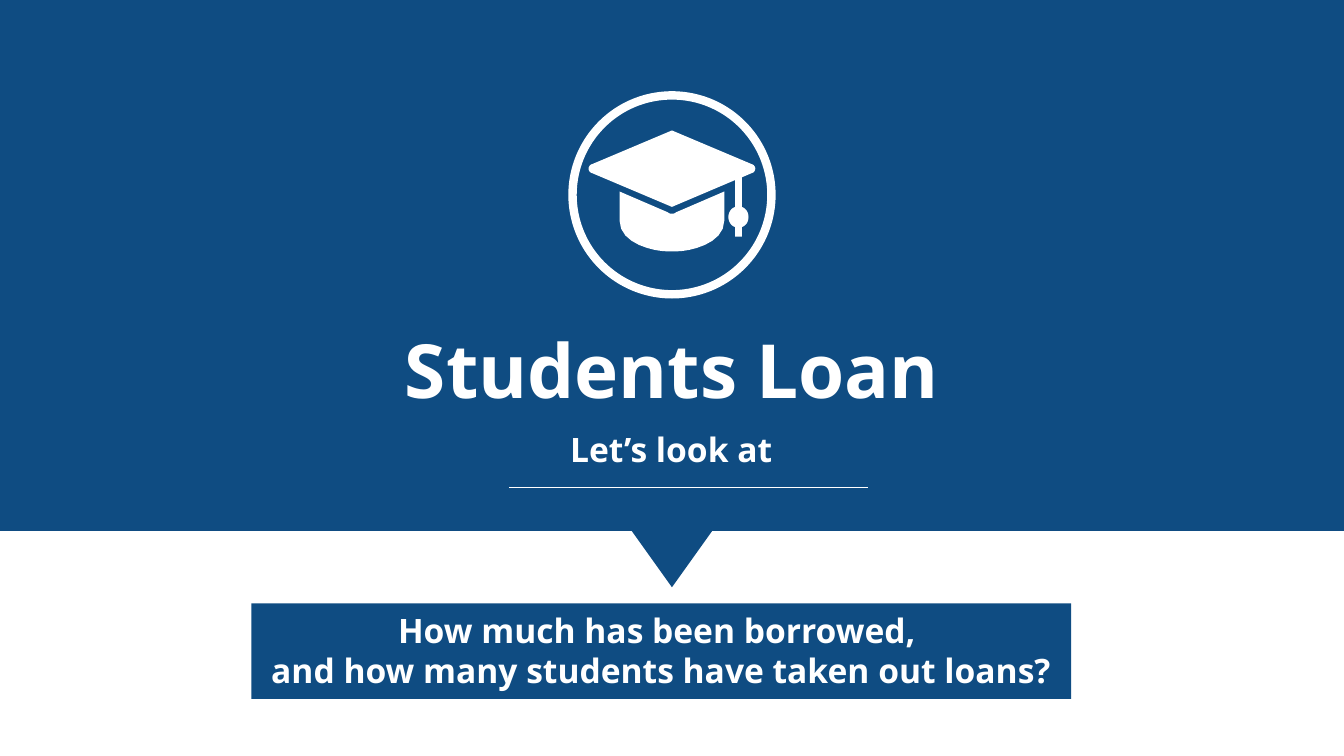
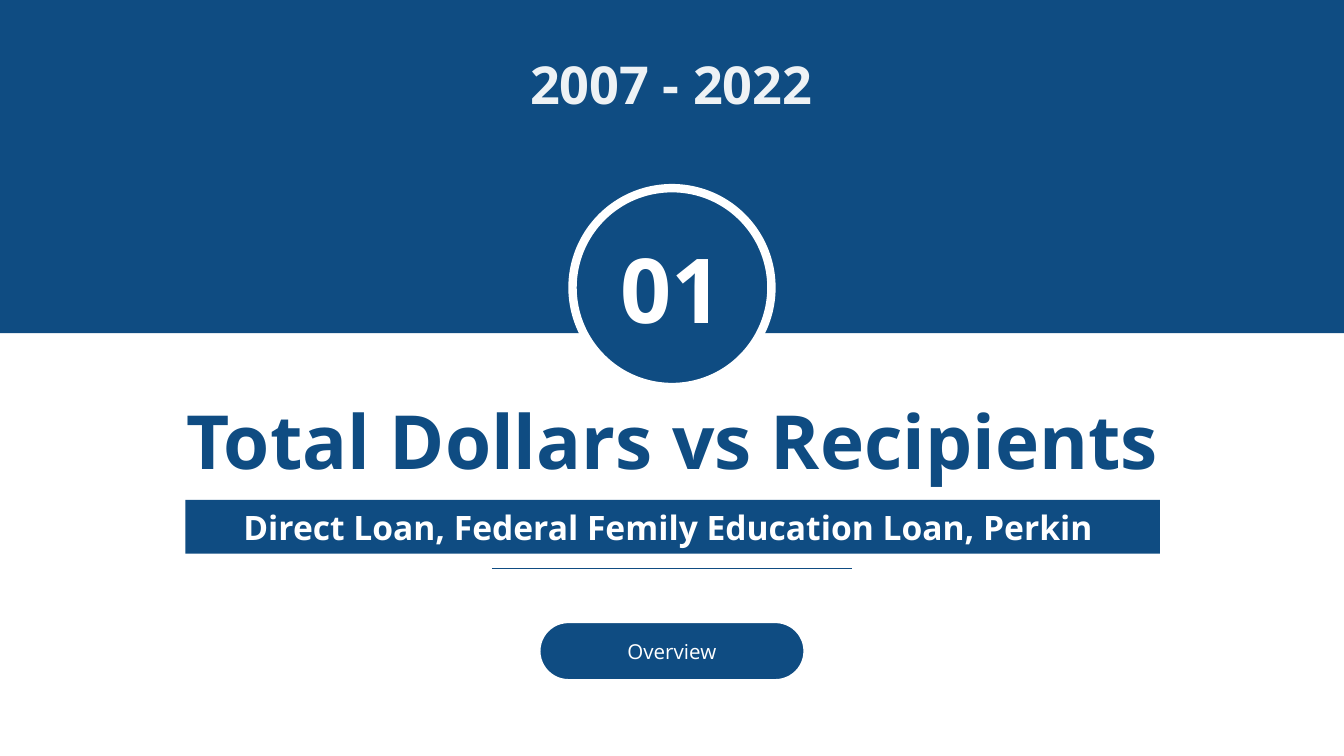
from dataclasses import dataclass
from typing import Optional

from lxml.etree import SubElement
from pptx import Presentation
from pptx.dml.color import RGBColor
from pptx.enum.shapes import MSO_CONNECTOR, MSO_SHAPE
from pptx.enum.text import MSO_ANCHOR, MSO_AUTO_SIZE, PP_ALIGN
from pptx.oxml.ns import qn
from pptx.util import Inches, Pt


@dataclass(frozen=True)
class Theme:
    """Colours, font, type sizes and line widths of the deck."""
    blue: str = "0F4C82"
    white: str = "FFFFFF"
    pale: str = "EEF2F5"
    font: str = "Open Sans"
    number: int = 48
    title: int = 40
    period: int = 28
    subtitle: int = 18
    button: int = 11
    ring: float = 4.5
    border: float = 1
    rule: float = 0.5


@dataclass(frozen=True)
class Box:
    """A place on the grid: left column, top row, columns, rows."""
    x: float
    y: float
    w: float
    h: float


@dataclass(frozen=True)
class Label:
    """Centred text and its format."""
    lines: tuple[str, ...]
    size: int
    color: str = "FFFFFF"
    bold: bool = True
    wrap: bool = False
    grow: bool = True


@dataclass(frozen=True)
class Panel:
    """A preset shape with optional fill, line and label."""
    box: Box
    kind: MSO_SHAPE = MSO_SHAPE.RECTANGLE
    fill: Optional[str] = None
    line: Optional[str] = None
    width: float = 1
    label: Optional[Label] = None


T = Theme()
COLUMNS = 100
WIDTH, HEIGHT = Inches(10), Inches(5.625)
CELL = WIDTH / COLUMNS
CENTRE = COLUMNS / 2
RING = 14.8
STEPS = 8

BAND = [(0, 0), (100, 0), (100, 39.5), (53, 39.5), (50, 43.7), (47, 39.5), (0, 39.5)]
CAP_TOP = [
    (55.9, 12.2), (50.1, 9.75), (50.05, 9.7, 49.95, 9.7, 49.9, 9.75), (44.1, 12.2),
    (43.9, 12.25, 43.8, 12.4, 43.8, 12.55), (43.8, 12.7, 43.9, 12.85, 44.1, 12.9),
    (49.9, 15.35), (49.95, 15.4, 50.05, 15.4, 50.1, 15.35), (54.7, 13.4), (54.7, 15.4),
    (54.4, 15.5, 54.2, 15.8, 54.2, 16.15), (54.2, 16.5, 54.4, 16.8, 54.7, 16.9),
    (54.7, 17.6), (55.2, 17.6), (55.2, 16.9), (55.5, 16.8, 55.7, 16.5, 55.7, 16.15),
    (55.7, 15.8, 55.5, 15.5, 55.2, 15.4), (55.2, 13.2), (55.9, 12.9),
    (56.1, 12.85, 56.2, 12.7, 56.2, 12.55), (56.2, 12.4, 56.1, 12.25, 55.9, 12.2),
]
CAP_BASE = [
    (50, 15.9), (49.9, 15.9, 49.8, 15.9, 49.7, 15.8), (46.1, 14.25), (46.1, 16.4),
    (46.1, 18.2, 48.8, 18.7, 49.6, 18.7), (50.4, 18.7),
    (51.2, 18.7, 53.9, 18.2, 53.9, 16.4), (53.9, 14.25), (50.3, 15.8),
    (50.2, 15.9, 50.1, 15.9, 50, 15.9),
]


def emu(cells: float) -> int:
    """Turn grid cells into a length."""
    return round(cells * CELL)


def assign(obj, values: dict) -> None:
    """Set each attribute of an object from a dict."""
    for name, value in values.items():
        setattr(obj, name, value)


def paint(fill, color: Optional[str]) -> None:
    """Give a fill one colour, or none."""
    if color is None:
        fill.background()
    else:
        fill.solid()
        fill.fore_color.rgb = RGBColor.from_string(color)


def write(tf, label: Label) -> None:
    """Write a label into a text frame."""
    assign(tf, {
        "word_wrap": label.wrap,
        "auto_size": MSO_AUTO_SIZE.SHAPE_TO_FIT_TEXT if label.grow else MSO_AUTO_SIZE.NONE,
        "vertical_anchor": MSO_ANCHOR.TOP if label.grow else MSO_ANCHOR.MIDDLE,
    })
    for i, line in enumerate(label.lines):
        p = tf.add_paragraph() if i else tf.paragraphs[0]
        p.alignment = PP_ALIGN.CENTER
        r = p.add_run()
        r.text = line
        assign(r.font, {"name": T.font, "size": Pt(label.size), "bold": label.bold})
        r.font.color.rgb = RGBColor.from_string(label.color)


def place(box: Box) -> tuple[int, ...]:
    """Return left, top, width and height of a box."""
    return tuple(emu(v) for v in (box.x, box.y, box.w, box.h))


def add_text(s, box: Box, label: Label) -> None:
    """Add a text box."""
    write(s.shapes.add_textbox(*place(box)).text_frame, label)


def add_panel(s, panel: Panel) -> None:
    """Add a preset shape."""
    sp = s.shapes.add_shape(panel.kind, *place(panel.box))
    sp.shadow.inherit = False
    if panel.kind == MSO_SHAPE.ROUNDED_RECTANGLE:
        sp.adjustments[0] = 0.5
    paint(sp.fill, panel.fill)
    paint(sp.line.fill, panel.line)
    if panel.line:
        sp.line.width = Pt(panel.width)
    if panel.label:
        write(sp.text_frame, panel.label)


def add_ring(s, top: float, label: Optional[Label] = None) -> None:
    """Add the centred circle with a white outline."""
    box = Box(CENTRE - RING / 2, top, RING, RING)
    add_panel(s, Panel(box, MSO_SHAPE.OVAL, T.blue, T.white, T.ring, label))


def add_rule(s, x1: float, x2: float, y: float, color: str) -> None:
    """Add a thin horizontal line."""
    c = s.shapes.add_connector(MSO_CONNECTOR.STRAIGHT, emu(x1), emu(y), emu(x2), emu(y))
    paint(c.line.fill, color)
    c.line.width = Pt(T.rule)
    SubElement(c._element.spPr, qn("a:effectLst"))


def trace(nodes: list[tuple]) -> list[tuple[int, int]]:
    """Turn corners and cubic curves into a run of points."""
    points = [nodes[0]]
    for node in nodes[1:]:
        if len(node) == 2:
            points.append(node)
            continue
        ends = [points[-1], node[:2], node[2:4], node[4:]]
        for t in (i / STEPS for i in range(1, STEPS + 1)):
            weights = ((1 - t) ** 3, 3 * t * (1 - t) ** 2, 3 * t * t * (1 - t), t ** 3)
            points.append(tuple(sum(w * e[k] for w, e in zip(weights, ends)) for k in (0, 1)))
    return [(emu(x), emu(y)) for x, y in points]


def add_outline(s, color: str, *outlines: list[tuple]) -> None:
    """Add one freeform made of closed outlines."""
    first, *rest = [trace(nodes) for nodes in outlines]
    fb = s.shapes.build_freeform(*first[0])
    fb.add_line_segments(first[1:], close=True)
    for points in rest:
        fb.move_to(*points[0])
        fb.add_line_segments(points[1:], close=True)
    sp = fb.convert_to_shape()
    sp.shadow.inherit = False
    paint(sp.fill, color)
    paint(sp.line.fill, None)


def cover(s) -> None:
    """Draw the opening slide."""
    add_outline(s, T.blue, BAND)
    add_text(s, Box(28.8, 23.6, 42.4, 7.7), Label(("Students Loan",), T.title))
    add_rule(s, 37.9, 64.6, 36.3, T.white)
    add_ring(s, 7.1)
    add_outline(s, T.white, CAP_TOP, CAP_BASE)
    question = ("How much has been borrowed, ", "and how many students have taken out loans?")
    add_panel(s, Panel(Box(18.7, 44.9, 61, 7.1), fill=T.blue, label=Label(question, T.subtitle)))
    add_panel(s, Panel(Box(41.3, 31.4, 17.3, 4), line=T.blue, width=T.border,
                       label=Label(("Let’s look at",), T.subtitle)))


def section(s) -> None:
    """Draw the section slide."""
    add_panel(s, Panel(Box(0, 0, COLUMNS, 24.8), fill=T.blue))
    add_text(s, Box(12.3, 28.9, 75.4, 7.7),
             Label(("Total Dollars vs Recipients",), T.title, T.blue))
    loans = Label(("Direct Loan, Federal Femily Education Loan, Perkin ",), T.subtitle, wrap=True)
    add_panel(s, Panel(Box(13.8, 37.2, 72.5, 4), fill=T.blue, label=loans))
    add_rule(s, 36.6, 63.4, 42.3, T.blue)
    add_ring(s, 14, Label(("01",), T.number, wrap=True, grow=False))
    overview = Label(("Overview",), T.button, bold=False, wrap=True, grow=False)
    add_panel(s, Panel(Box(40.15, 46.3, 19.7, 4.3), MSO_SHAPE.ROUNDED_RECTANGLE,
                       T.blue, T.white, T.border, overview))
    add_text(s, Box(33.3, 3.4, 33.3, 5.7), Label(("2007 - 2022",), T.period, T.pale, wrap=True))


def main() -> None:
    """Build and save the deck."""
    prs = Presentation()
    assign(prs, {"slide_width": WIDTH, "slide_height": HEIGHT})
    for draw in (cover, section):
        draw(prs.slides.add_slide(prs.slide_layouts[6]))
    prs.save("out.pptx")


if __name__ == "__main__":
    main()
